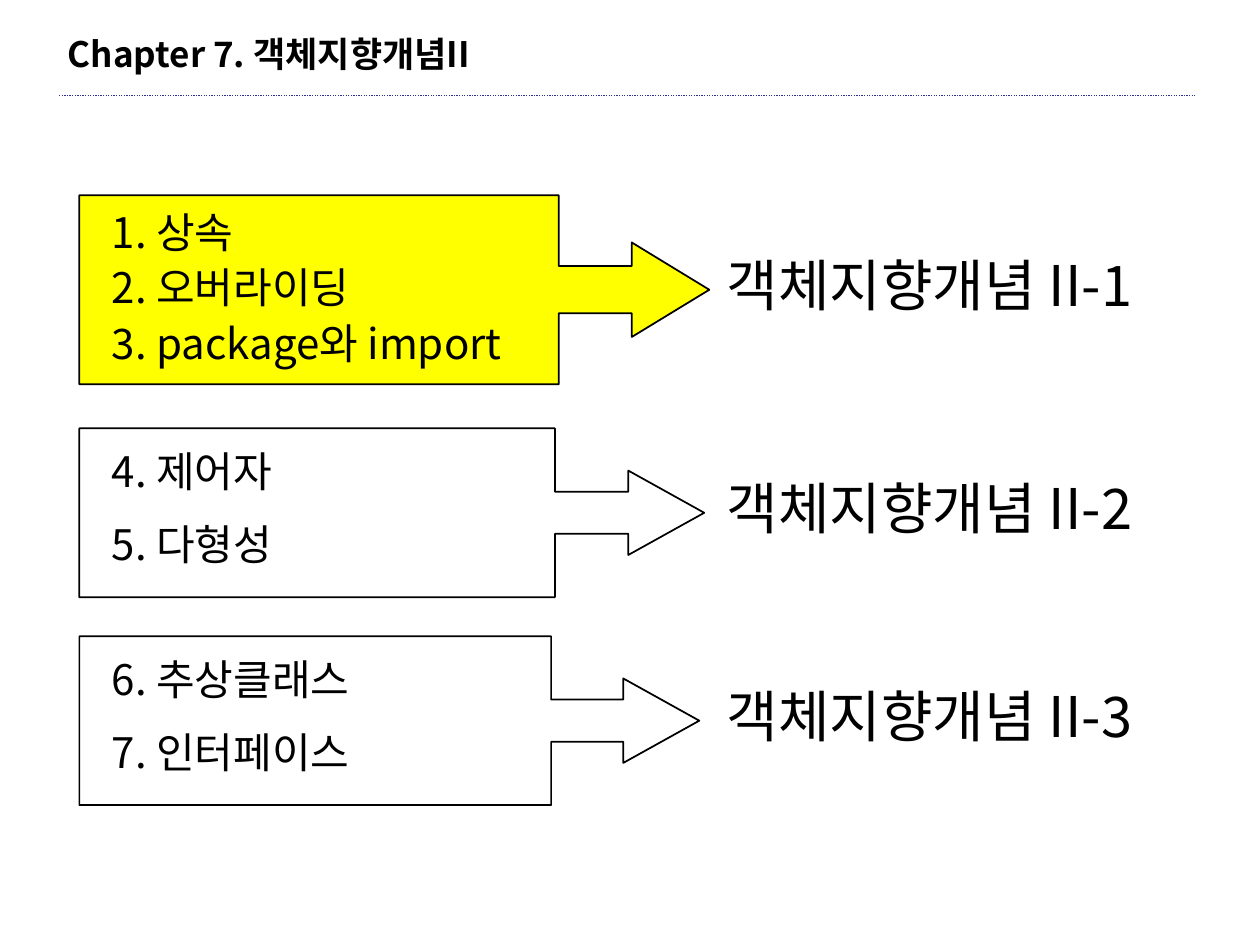
from typing import NamedTuple

from lxml import etree
from pptx import Presentation
from pptx.dml.color import RGBColor
from pptx.enum.dml import MSO_LINE
from pptx.enum.shapes import MSO_CONNECTOR, MSO_SHAPE
from pptx.enum.text import MSO_AUTO_SIZE
from pptx.oxml.ns import qn
from pptx.util import Inches, Pt

CALLOUT = MSO_SHAPE.RIGHT_ARROW_CALLOUT
STRAIGHT = MSO_CONNECTOR.STRAIGHT
DOTTED = MSO_LINE.ROUND_DOT
FIT_SHAPE = MSO_AUTO_SIZE.SHAPE_TO_FIT_TEXT

FONT = "Noto Sans CJK KR"
COLORS = {"text": "000000", "rule": "2F2F98", "current": "FFFF00"}
SPACE_BEFORE = 0.625  # share of the text size


class Section(NamedTuple):
    label: str
    topics: list[str]
    top: float
    width: float
    height: float
    head: float  # arrow head length, as a share of the callout height
    topic_top: float
    topic_step: float
    label_top: float
    current: bool = False


SECTIONS = [
    Section("객체지향개념 II-1", ["1. 상속", "2. 오버라이딩", "3. package와 import"],
            1.55, 5, 1.5, 0.41, 1.59, 0.44, 1.94, current=True),
    Section("객체지향개념 II-2", ["4. 제어자", "5. 다형성"],
            3.4, 4.96, 1.34, 0.45, 3.49, 0.58, 3.71),
    Section("객체지향개념 II-3", ["6. 추상클래스", "7. 인터페이스"],
            5.05, 4.92, 1.34, 0.45, 5.14, 0.58, 5.36),
]


def rgb(name: str) -> RGBColor:
    return RGBColor.from_string(COLORS[name])


def add_text(s, text: str, left: float, top: float, width: float,
             height: float, size: int, bold: bool = False) -> None:
    box = s.shapes.add_textbox(Inches(left), Inches(top), Inches(width), Inches(height))
    tf = box.text_frame
    tf.word_wrap = True
    tf.auto_size = FIT_SHAPE
    p = tf.paragraphs[0]
    p.text = text
    p.space_before = Pt(size * SPACE_BEFORE)
    font = p.runs[0].font
    font.name = FONT
    font.size = Pt(size)
    font.bold = bold
    font.color.rgb = rgb("text")
    # Korean letters take the East Asian font
    r_pr = p.runs[0]._r.get_or_add_rPr()
    etree.SubElement(r_pr, qn("a:ea"), typeface=FONT)


def add_rule(s) -> None:
    rule = s.shapes.add_connector(STRAIGHT, Inches(0.47), Inches(0.76),
                                  Inches(9.49), Inches(0.76))
    rule.line.color.rgb = rgb("rule")
    rule.line.width = Pt(0.75)
    rule.line.dash_style = DOTTED
    etree.SubElement(rule._element.spPr, qn("a:effectLst"))


def add_section(s, section: Section) -> None:
    # Callout arrow
    sp = s.shapes.add_shape(CALLOUT, Inches(0.63), Inches(section.top),
                            Inches(section.width), Inches(section.height))
    sp.shadow.inherit = False
    for i, value in enumerate((0.25, 0.25, section.head, 0.761)):
        sp.adjustments[i] = value
    if section.current:
        sp.fill.solid()
        sp.fill.fore_color.rgb = rgb("current")
    else:
        sp.fill.background()
    sp.line.color.rgb = rgb("text")
    sp.line.width = Pt(1)

    # Topics inside, label at the arrow tip
    for i, topic in enumerate(section.topics):
        top = section.topic_top + i * section.topic_step
        add_text(s, topic, 0.79, top, 5.32, 0.5, 24)
    add_text(s, section.label, 5.67, section.label_top, 4.29, 0.64, 32)


def main() -> None:
    prs = Presentation()
    prs.slide_width, prs.slide_height = Inches(10), Inches(7.5)
    s = prs.slides.add_slide(prs.slide_layouts[6])

    # Chapter heading
    add_rule(s)
    add_text(s, "Chapter 7. 객체지향개념II", 0.44, 0.21, 4.17, 0.44, 20, bold=True)

    # Sections
    for section in SECTIONS:
        add_section(s, section)

    prs.save("out.pptx")


if __name__ == "__main__":
    main()
